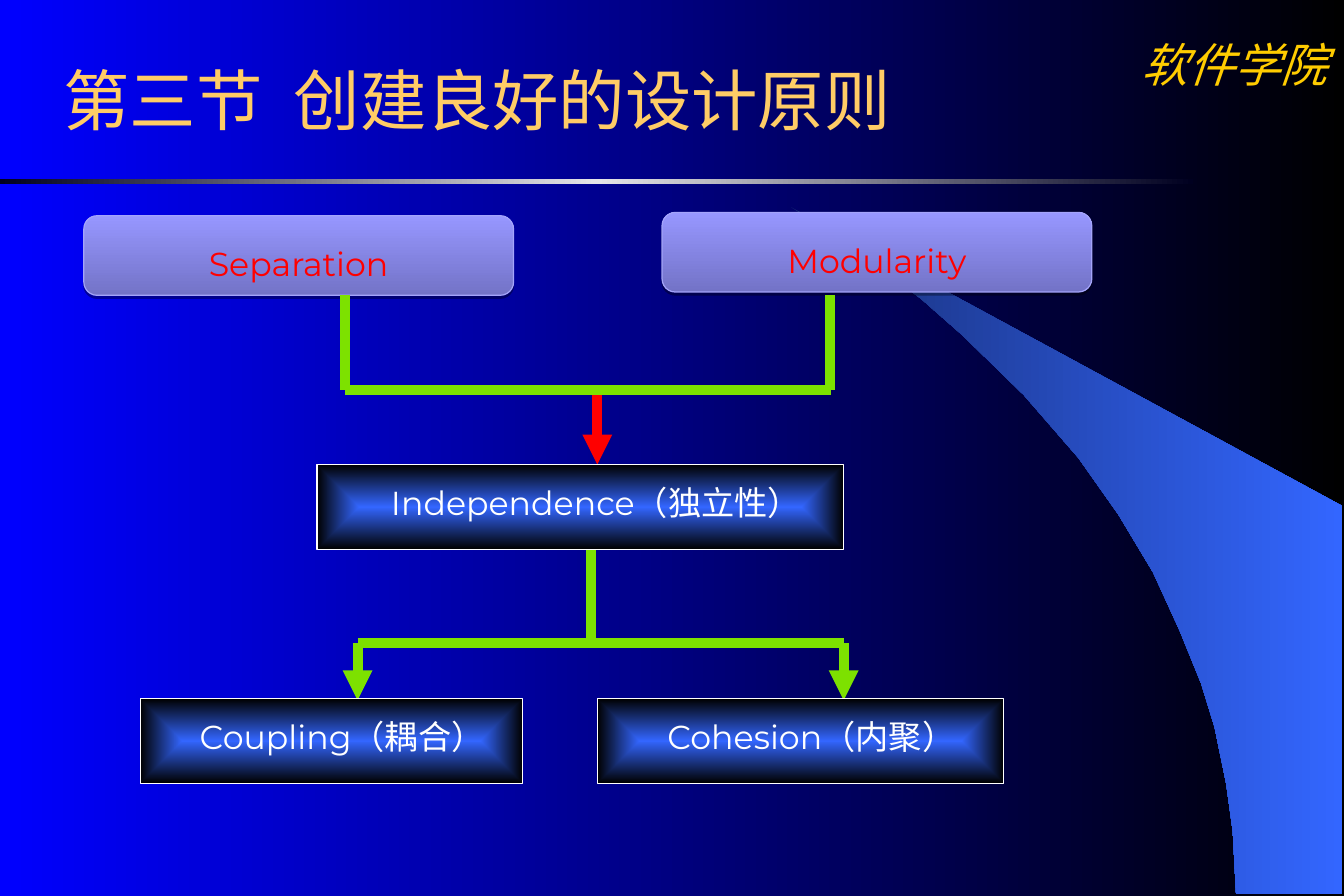
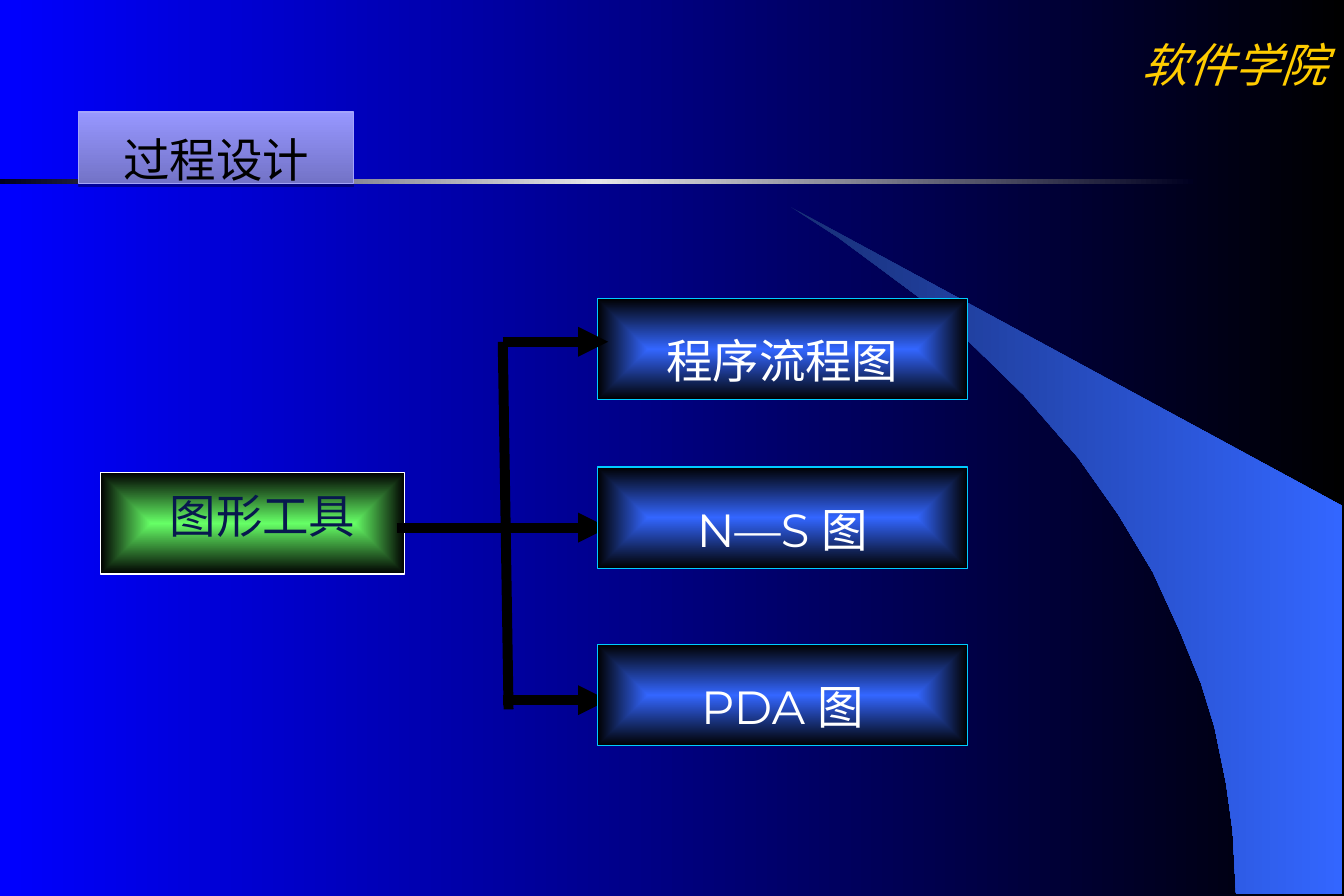
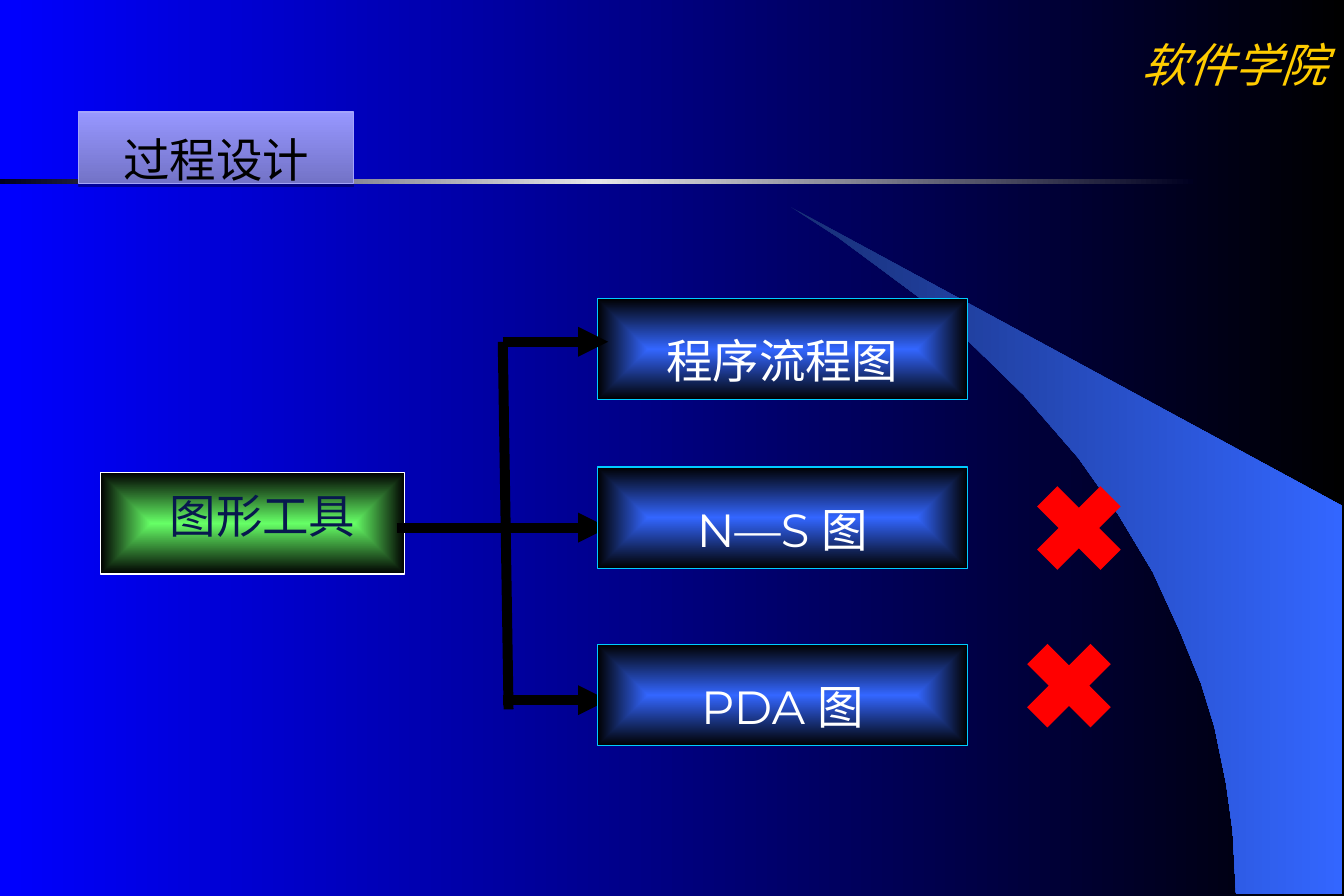
import pptx
import pptx.dml.color
import pptx.enum.shapes
import pptx.enum.text
import pptx.oxml
import pptx.oxml.ns
import pptx.util

Pt = pptx.util.Pt
qn = pptx.oxml.ns.qn
SHAPE = pptx.enum.shapes.MSO_SHAPE
ALIGN = pptx.enum.text.PP_ALIGN
ANCHOR = pptx.enum.text.MSO_ANCHOR

BLACK, WHITE, RED = "000000", "FFFFFF", "FF0000"
BLUE, GREEN, LIME, NAVY, CYAN = "3366FF", "66FF66", "7DE100", "08184E", "00CCFF"
TITLE_GOLD, BADGE_GOLD = "FFCC66", "FFCC00"
PANEL_DARK, PANEL_LIGHT, PANEL_EDGE = "7373C7", "9797FF", "A4A4FB"
BODY_FONT, BADGE_FONT = "Montserrat", "Times New Roman"

SWOOSH = [
    (745, 539), (809, 539), (809, 305), (477, 125), (505, 143), (528, 160),
    (555, 180), (580, 202), (617, 238), (650, 276), (674, 310), (695, 345),
    (711, 380), (724, 412), (732, 438), (739, 472), (743, 501),
]


def colour(value):
    """Turn a hex string into a colour."""
    return pptx.dml.color.RGBColor.from_string(value)


def xml(text):
    """Parse a fragment of drawing markup."""
    opening, rest = text.split(">", 1)
    slash = "/" if opening.endswith("/") else ""
    return pptx.oxml.parse_xml(
        f"{opening.rstrip('/')} {pptx.oxml.ns.nsdecls('a')}{slash}>{rest}")


def gradient(fill, holder, stops, angle=None):
    """Give a gradient of evenly spaced stops, from the centre if no angle is set."""
    marks = "".join(
        f'<a:gs pos="{100000 * index // (len(stops) - 1)}"><a:srgbClr val="{stop}"/></a:gs>'
        for index, stop in enumerate(stops))
    if angle is None:
        course = ('<a:path path="rect"><a:fillToRect l="50000" t="50000" '
                  'r="50000" b="50000"/></a:path>')
    else:
        course = f'<a:lin ang="{angle * 60000}" scaled="0"/>'
    fill.solid()
    solid = holder.find(qn("a:solidFill"))
    holder.replace(solid, xml(f"<a:gradFill><a:gsLst>{marks}</a:gsLst>{course}</a:gradFill>"))


def paint(shape, stops, angle=None, edge=None):
    """Fill a shape with a gradient and set its outline."""
    shape.shadow.inherit = False
    gradient(shape.fill, shape.element.spPr, stops, angle)
    if edge:
        shape.line.color.rgb = colour(edge)
        shape.line.width = Pt(0.75)
    else:
        shape.line.fill.background()


def write(shape, spans, size, ink, font=BODY_FONT, align=ALIGN.CENTER, spacing=None,
          insets=(7.2, 3.6, 7.2, 3.6), anchor=ANCHOR.MIDDLE, italic=False, wrap=True):
    """Write one paragraph, run by run."""
    frame = shape.text_frame
    frame.auto_size = pptx.enum.text.MSO_AUTO_SIZE.NONE
    frame.word_wrap = wrap
    frame.vertical_anchor = anchor
    frame.margin_left, frame.margin_top, frame.margin_right, frame.margin_bottom = map(Pt, insets)
    para = frame.paragraphs[0]
    para.alignment = align
    para.line_spacing = spacing
    for text in spans:
        span = para.add_run()
        span.text = text
        span.font.name = font
        span.font.size = Pt(size)
        span.font.italic = italic
        span.font.color.rgb = colour(ink)


def place(shape, box):
    """Move a shape to a box."""
    shape.left, shape.top, shape.width, shape.height = map(Pt, box)


def line(slide, start, end, ink, arrow=False):
    """Draw a thick straight line, with an arrowhead if asked."""
    connector = slide.shapes.add_connector(
        pptx.enum.shapes.MSO_CONNECTOR.STRAIGHT, *map(Pt, start + end))
    connector.line.color.rgb = colour(ink)
    connector.line.width = Pt(6)
    properties = connector.element.spPr
    if arrow:
        properties.find(qn("a:ln")).append(xml('<a:tailEnd type="triangle"/>'))
    properties.append(xml("<a:effectLst/>"))


def glow_box(slide, box, text, size, glow=BLUE, edge=WHITE, ink=WHITE, **style):
    """Add a labelled rectangle that glows from its centre."""
    shape = slide.shapes.add_shape(SHAPE.RECTANGLE, *map(Pt, box))
    paint(shape, [glow, BLACK], edge=edge)
    write(shape, [text], size, ink, **style)


def style_panel(shape, text, size, ink):
    """Style a shape as a lilac panel with a soft lower shadow."""
    paint(shape, [PANEL_DARK, PANEL_LIGHT], 270, PANEL_EDGE)
    shape.element.spPr.find(qn("a:effectLst")).append(xml(
        '<a:outerShdw blurRad="0" dist="22860" dir="5400000"><a:srgbClr val="000000">'
        '<a:alpha val="35000"/></a:srgbClr></a:outerShdw>'))
    write(shape, [text], size, ink, spacing=1.4, insets=(0, 0, 0, 0))


def dress_master(deck, slide):
    """Put the backdrop, swoosh, rule and school name on the master."""
    master = deck.slide_master
    fill = master.background.fill
    fill.solid()
    gradient(fill, next(master.element.iter(qn("p:bgPr"))), ["0000FF", BLACK], 0)

    badge = slide.shapes.add_textbox(*map(Pt, (678, 18, 132, 41)))
    write(badge, ["软件学院"], 28, BADGE_GOLD, BADGE_FONT, italic=True, anchor=ANCHOR.TOP)
    builder = slide.shapes.build_freeform(*SWOOSH[0], scale=Pt(1))
    builder.add_line_segments(SWOOSH[1:], close=True)
    swoosh = builder.convert_to_shape()
    paint(swoosh, ["182F76", BLUE], 0)
    rule = slide.shapes.add_shape(SHAPE.RECTANGLE, *map(Pt, (0, 108, 719, 3)))
    paint(rule, ["000020", "E5E5E8", "000020"], 0)
    for number, shape in enumerate((badge, swoosh, rule), 21):
        shape.element.nvSpPr.cNvPr.set("id", str(number))
        master.shapes.element.append(shape.element)


def plain_title(slide, box, spans):
    """Format the title as large gold text with a wide gap after the section."""
    title = slide.shapes.title
    place(title, box)
    write(title, spans, 40, TITLE_GOLD, align=ALIGN.LEFT, anchor=ANCHOR.TOP)
    list(title.element.iter(qn("a:rPr")))[1].set("spc", "1000")


def panel_title(slide, box, text):
    """Format the title as a rounded panel."""
    title = slide.shapes.title
    place(title, box)
    title.element.spPr.insert(1, xml('<a:prstGeom prst="roundRect"><a:avLst/></a:prstGeom>'))
    style_panel(title, text, 28, BLACK)


def principle_flow(slide, left, top):
    """Draw how two principles lead to independence and its two measures."""
    for x, y, text in ((0, 2, "Separation"), (348.5, 0, "Modularity")):
        panel = slide.shapes.add_shape(
            SHAPE.ROUNDED_RECTANGLE, *map(Pt, (left + x, top + y, 259, 48)))
        style_panel(panel, text, 20, RED)

    def link(x1, y1, x2, y2, ink=LIME, arrow=False):
        """Draw a line relative to the flow."""
        line(slide, (left + x1, top + y1), (left + x2, top + y2), ink, arrow)

    link(305.5, 202.5, 305.5, 259.5)
    link(165, 259.5, 458, 259.5)
    for x in (165, 458):
        link(x, 259.5, x, 294, arrow=True)
    link(309.5, 107, 309.5, 152, RED, True)
    for x, y, width, indent, text in (
            (140.5, 152, 317.5, 28, "Independence（独立性）"),
            (34, 293, 230.5, 22, "Coupling（耦合）"),
            (309.5, 293, 245, 22, "Cohesion（内聚）")):
        glow_box(slide, (left + x, top + y, width, 51), text, 20,
                 spacing=0.75, insets=(indent, 17, 9, 17))
    for x in (157.5, 450):
        link(x, 50, x, 107)
    link(157.5, 107, 450.5, 107)


def tool_tree(slide, left, top, crosses=()):
    """Draw the tools branching into three charts, with crosses beside some."""
    glow_box(slide, (left, top + 105, 183.5, 61), "图形工具", 28, GREEN, WHITE, NAVY,
             spacing=0.75, insets=(20, 16, 8, 19))

    def chart_box(y, text):
        """Add one chart name."""
        glow_box(slide, (left + 299.5, top + y, 223, 61), text, 28, edge=CYAN,
                 spacing=1.4, wrap=False)

    chart_box(0, "程序流程图")
    line(slide, (left + 242.5, top + 26), (left + 246, top + 247.5), BLACK)
    for x, y in ((242.5, 26), (178.5, 138), (242.5, 242)):
        line(slide, (left + x, top + y), (left + 306, top + y), BLACK, True)
    chart_box(101.5, "N—S 图")
    chart_box(208.5, "PDA 图")
    for x, y in crosses:
        cross = slide.shapes.add_shape(
            SHAPE.MATH_MULTIPLY, *map(Pt, (left + x, top + y, 73.5, 73.5)))
        cross.shadow.inherit = False
        cross.fill.solid()
        cross.fill.fore_color.rgb = colour(RED)
        cross.line.fill.background()


def main():
    """Build and save the deck."""
    deck = pptx.Presentation()
    deck.slide_width, deck.slide_height = Pt(810), Pt(540)
    principles, tools, verdict = [
        deck.slides.add_slide(deck.slide_layouts[5]) for _ in range(3)]
    dress_master(deck, principles)
    plain_title(principles, (31, 32, 554, 47), ["第三节", " ", "创建良好的设计原则"])
    principle_flow(principles, 50.5, 128)
    for page, crosses in ((tools, ()), (verdict, ((553, 101.5), (547, 196.5)))):
        panel_title(page, (47.5, 67.5, 165.5, 43), "过程设计")
        tool_tree(page, 60.5, 180, crosses)
    deck.save("out.pptx")


if __name__ == "__main__":
    main()
